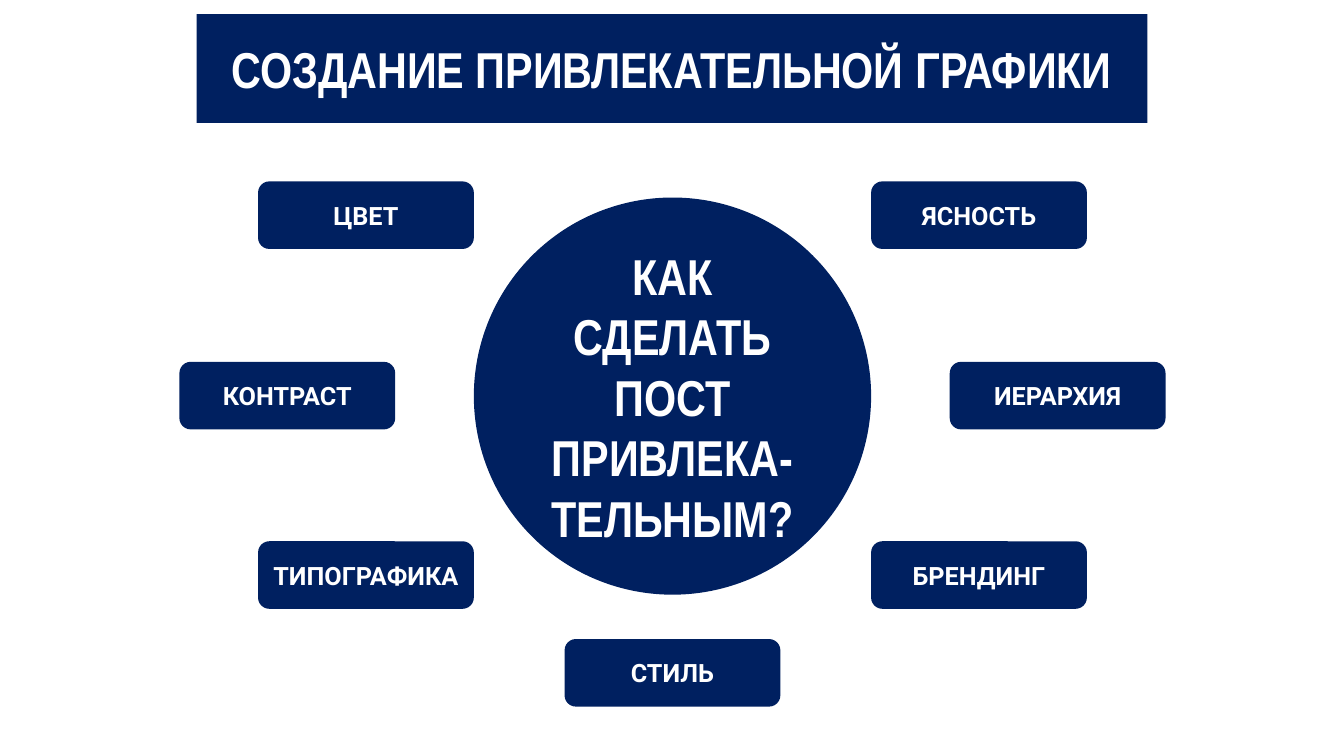
from lxml import etree
from pptx import Presentation
from pptx.dml.color import RGBColor
from pptx.enum.shapes import MSO_SHAPE
from pptx.enum.text import MSO_ANCHOR, MSO_AUTO_SIZE, PP_ALIGN
from pptx.oxml.ns import qn
from pptx.util import Inches, Pt

NAVY = RGBColor(0x00, 0x20, 0x60)
WHITE = RGBColor(0xFF, 0xFF, 0xFF)
OVAL = MSO_SHAPE.OVAL
ROUNDED = MSO_SHAPE.ROUNDED_RECTANGLE
MIDDLE = MSO_ANCHOR.MIDDLE
CENTER = PP_ALIGN.CENTER
NO_AUTOFIT = MSO_AUTO_SIZE.NONE

HEADING_FONT, HEADING_SIZE = "Arial Narrow", 36
LABEL_FONT, LABEL_SIZE = "Roboto", 18

CENTER_X = 6.67
CIRCLE_TOP, CIRCLE_SIZE = 1.96, 3.94
LABEL_W, LABEL_H = 2.14, 0.67
ROWS = [
    (1.8, 4.11, "ЦВЕТ", "ЯСНОСТЬ"),
    (3.59, 4.89, "КОНТРАСТ", "ИЕРАРХИЯ"),
    (5.37, 4.11, "ТИПОГРАФИКА", "БРЕНДИНГ"),
]


class Deck:
    def __init__(self):
        self.prs = Presentation()
        self.prs.slide_width = Inches(13.33)
        self.prs.slide_height = Inches(7.5)
        self.slide = self.prs.slides.add_slide(self.prs.slide_layouts[5])

    def style(self, s, text, font, size):
        s.fill.solid()
        s.fill.fore_color.rgb = NAVY
        s.line.fill.background()
        tf = s.text_frame
        tf.word_wrap = True
        tf.auto_size = NO_AUTOFIT
        tf.vertical_anchor = MIDDLE
        p = tf.paragraphs[0]
        p.text = text
        p.alignment = CENTER
        p.font.name = font
        p.font.size = Pt(size)
        p.font.bold = True
        p.font.color.rgb = WHITE

    def title(self, text, x, y, w, h):
        s = self.slide.shapes.title
        s.left, s.top, s.width, s.height = map(Inches, (x, y, w, h))
        geom = etree.SubElement(s.element.spPr, qn("a:prstGeom"), prst="roundRect")
        etree.SubElement(geom, qn("a:avLst"))
        self.style(s, text, HEADING_FONT, HEADING_SIZE)

    def shape(self, kind, text, center_x, y, w, h, font, size):
        s = self.slide.shapes.add_shape(
            kind, Inches(center_x - w / 2), Inches(y), Inches(w), Inches(h))
        s.shadow.inherit = False
        self.style(s, text, font, size)

    def circle(self, text):
        self.shape(OVAL, text, CENTER_X, CIRCLE_TOP, CIRCLE_SIZE, CIRCLE_SIZE,
                   HEADING_FONT, HEADING_SIZE)

    def label(self, text, center_x, y):
        self.shape(ROUNDED, text, center_x, y, LABEL_W, LABEL_H,
                   LABEL_FONT, LABEL_SIZE)


def main():
    deck = Deck()
    deck.title("СОЗДАНИЕ ПРИВЛЕКАТЕЛЬНОЙ ГРАФИКИ", 1.95, 0.14, 9.43, 1.08)
    deck.circle("КАК СДЕЛАТЬ ПОСТ ПРИВЛЕКА-ТЕЛЬНЫМ?")
    for y, offset, left, right in ROWS:
        deck.label(left, CENTER_X - 0.0 - offset + 1.07, y)
        deck.label(right, CENTER_X + offset - 1.07, y)
    deck.label("СТИЛЬ", CENTER_X, 6.34)
    deck.prs.save("out.pptx")


if __name__ == "__main__":
    main()
